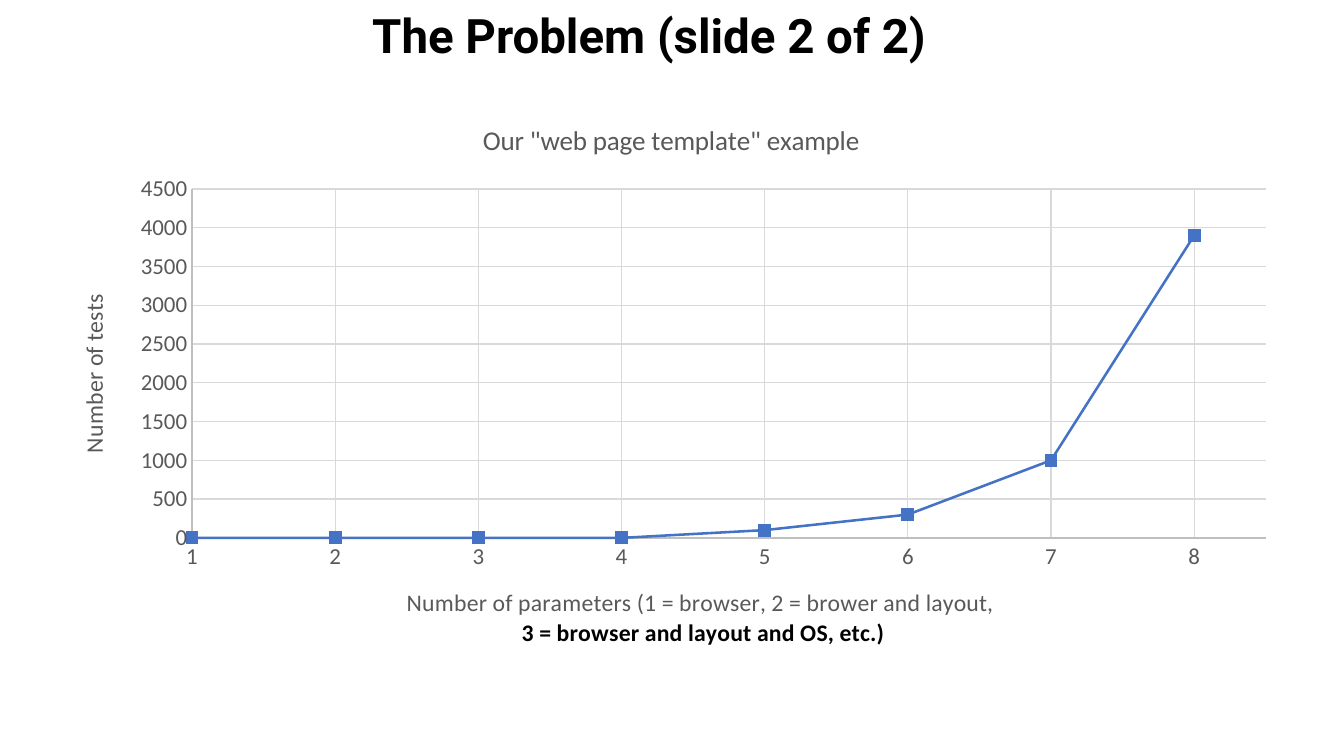
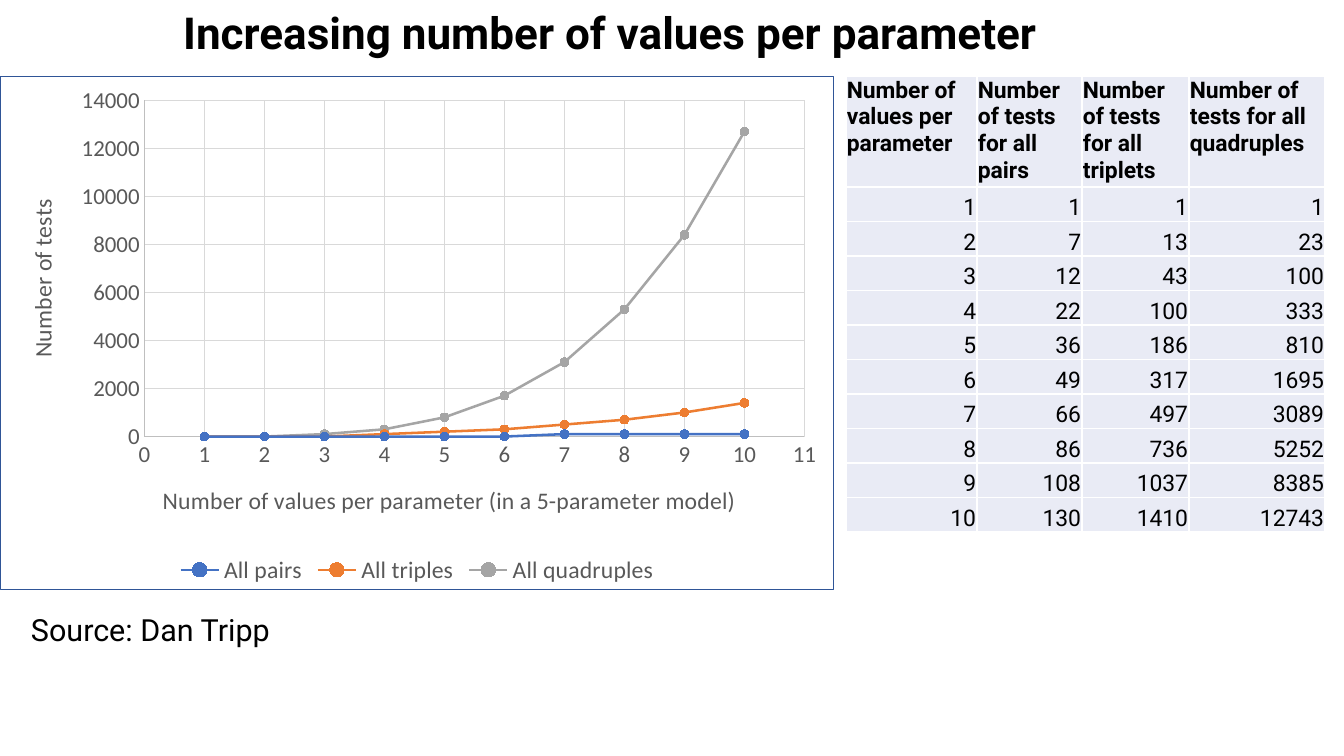
from collections import namedtuple

from pptx import Presentation
from pptx.chart.data import XyChartData
from pptx.dml.color import RGBColor
from pptx.enum.chart import (
    XL_CHART_TYPE, XL_LEGEND_POSITION, XL_MARKER_STYLE, XL_TICK_MARK)
from pptx.enum.text import MSO_ANCHOR, MSO_AUTO_SIZE, PP_ALIGN
from pptx.oxml import parse_xml
from pptx.oxml.ns import nsdecls, qn
from pptx.util import Pt

SCATTER = XL_CHART_TYPE.XY_SCATTER_LINES
LEGEND_BOTTOM = XL_LEGEND_POSITION.BOTTOM
SQUARE, CIRCLE = XL_MARKER_STYLE.SQUARE, XL_MARKER_STYLE.CIRCLE
NO_TICK = XL_TICK_MARK.NONE
TOP, BOTTOM = MSO_ANCHOR.TOP, MSO_ANCHOR.BOTTOM
NO_FIT = MSO_AUTO_SIZE.NONE
LEFT, CENTER, RIGHT = PP_ALIGN.LEFT, PP_ALIGN.CENTER, PP_ALIGN.RIGHT

EMU_PER_PX = 914400 / 122
SLIDE_WIDTH, SLIDE_HEIGHT = 1344, 756
TITLE_ONLY = 5
BLACK, GREY, GRID, AXIS = "000000", "595959", "D9D9D9", "BFBFBF"
BLUE, ORANGE, SILVER = "4472C4", "ED7D31", "A5A5A5"
CHART_BORDER, CELL_FILL, CELL_BORDER = "2F5597", "E9EBF5", "FFFFFF"

ROBOTO = {"name": "Roboto", "color": BLACK, "bold": False}
TITLE_FONT = {**ROBOTO, "bold": True}
CELL_FONT = {**ROBOTO, "size": 13.5}
CHART_FONT = {"name": "Calibri", "color": GREY, "bold": False}
TICK_FONT = {**CHART_FONT, "size": 13.5}
LABEL_FONT = {**CHART_FONT, "size": 14}
CAPTION_FONT = {**CHART_FONT, "size": 16}
STRONG_FONT = {**LABEL_FONT, "color": BLACK, "bold": True}

Box = namedtuple("Box", "left top width height")
AxisFormat = namedtuple("AxisFormat", "minimum maximum step lines left top")

PARAMETER_COUNTS = range(1, 9)
PARAMETER_TESTS = [0, 0, 0, 0, 100, 300, 1000, 3900]
VALUE_HEADINGS = [
    "Number of values per parameter", "Number of tests for all pairs",
    "Number of tests for all triplets", "Number of tests for all quadruples"]
VALUE_ROWS = [
    (1, 1, 1, 1), (2, 7, 13, 23), (3, 12, 43, 100), (4, 22, 100, 333),
    (5, 36, 186, 810), (6, 49, 317, 1695), (7, 66, 497, 3089),
    (8, 86, 736, 5252), (9, 108, 1037, 8385), (10, 130, 1410, 12743)]
COLUMN_WIDTHS = [131, 105, 107, 136]
HEADING_HEIGHT = 111


def emu(pixels):
    """Turn pixels into EMU."""
    return round(pixels * EMU_PER_PX)


def rgb(value):
    """Turn a hex string into a colour."""
    return RGBColor.from_string(value)


def set_attributes(target, values):
    """Set each named attribute of the target."""
    for name, value in values.items():
        setattr(target, name, value)


def style_font(font, style):
    """Apply a font style."""
    set_attributes(font, {"name": style["name"], "size": Pt(style["size"]),
                          "bold": style["bold"]})
    font.color.rgb = rgb(style["color"])


def style_line(line, color, width):
    """Give a line its colour and width in points."""
    line.color.rgb = rgb(color)
    line.width = Pt(width)


def place(shape, box):
    """Move a shape to its box."""
    set_attributes(shape, {name: emu(value)
                           for name, value in box._asdict().items()})


def write_lines(frame, lines, alignment):
    """Write one paragraph for each pair of text and font style."""
    for index, (text, style) in enumerate(lines):
        paragraph = frame.paragraphs[0] if index == 0 else frame.add_paragraph()
        paragraph.alignment = alignment
        run = paragraph.add_run()
        run.text = text
        style_font(run.font, style)


def add_titled_slide(presentation, title, box, size):
    """Add a slide with a bold title."""
    slide = presentation.slides.add_slide(
        presentation.slide_layouts[TITLE_ONLY])
    place(slide.shapes.title, box)
    frame = slide.shapes.title.text_frame
    set_attributes(frame, {"auto_size": NO_FIT, "word_wrap": False,
                           "vertical_anchor": TOP})
    write_lines(frame, [(title, {**TITLE_FONT, "size": size})], LEFT)
    return slide


def set_layout(element, chart_box, left, top, size=None):
    """Fix the place of a chart part, given from the chart's corner."""
    values = {"x": left / chart_box.width, "y": top / chart_box.height}
    target = ""
    if size:
        target = '<c:layoutTarget val="inner"/>'
        values.update(w=size[0] / chart_box.width, h=size[1] / chart_box.height)
    modes = '<c:xMode val="edge"/><c:yMode val="edge"/>'
    lengths = "".join(f'<c:{name} val="{value:.4f}"/>'
                      for name, value in values.items())
    layout = parse_xml(
        f'<c:layout {nsdecls("c")}><c:manualLayout>{target}{modes}{lengths}'
        '</c:manualLayout></c:layout>')
    for existing in element.findall(qn("c:layout")):
        element.remove(existing)
    element.insert(0 if element.find(qn("c:tx")) is None else 1, layout)


def add_chart_label(title, chart_box, lines, left, top):
    """Write a chart or axis title at its place."""
    write_lines(title.text_frame, lines, CENTER)
    set_layout(title.element, chart_box, left, top)


def style_axis(axis, chart_box, values):
    """Format an axis with its scale, grid and title."""
    set_attributes(axis, {
        "minimum_scale": values.minimum, "maximum_scale": values.maximum,
        "major_unit": values.step, "has_major_gridlines": True,
        "major_tick_mark": NO_TICK, "minor_tick_mark": NO_TICK})
    style_line(axis.format.line, AXIS, 0.75)
    style_line(axis.major_gridlines.format.line, GRID, 0.75)
    style_font(axis.tick_labels.font, TICK_FONT)
    add_chart_label(axis.axis_title, chart_box, values.lines,
                    values.left, values.top)


def style_series(series, color, marker, size):
    """Colour a series and its markers."""
    style_line(series.format.line, color, 1.5)
    set_attributes(series.marker, {"style": marker, "size": size})
    series.marker.format.fill.solid()
    series.marker.format.fill.fore_color.rgb = rgb(color)
    style_line(series.marker.format.line, color, 0.75)


def add_scatter(slide, box, plot, series_data, marker, axes):
    """Add a scatter chart whose plot box is relative to the chart box."""
    data = XyChartData()
    for name, points, color in series_data:
        series = data.add_series(name)
        for x_value, y_value in points:
            series.add_data_point(x_value, y_value)
    chart = slide.shapes.add_chart(SCATTER, *map(emu, box), data).chart
    style_font(chart.font, {**CHART_FONT, "size": 10, "color": BLACK})
    set_attributes(chart, {"has_title": False, "has_legend": False})
    chart.plots[0].vary_by_categories = False
    for series, (name, points, color) in zip(chart.plots[0].series, series_data):
        style_series(series, color, *marker)
    for axis, values in zip((chart.category_axis, chart.value_axis), axes):
        style_axis(axis, box, values)
    body = chart.value_axis.axis_title.element.find(".//" + qn("a:bodyPr"))
    body.set("rot", "-5400000")
    body.set("vert", "horz")
    set_layout(chart.element.find(".//" + qn("c:plotArea")), box,
               plot.left, plot.top, (plot.width, plot.height))
    return chart


def add_chart_border(chart):
    """Draw a thin outline round the chart."""
    chart.element.find(qn("c:chart")).addnext(parse_xml(
        f'<c:spPr {nsdecls("c", "a")}><a:noFill/><a:ln w="{Pt(0.75)}">'
        f'<a:solidFill><a:srgbClr val="{CHART_BORDER}"/></a:solidFill>'
        '</a:ln></c:spPr>'))


def add_cell_borders(cell):
    """Draw white lines on the four sides of a cell."""
    properties = cell._tc.get_or_add_tcPr()
    for index, side in enumerate(("lnL", "lnR", "lnT", "lnB")):
        properties.insert(index, parse_xml(
            f'<a:{side} {nsdecls("a")} w="{Pt(1)}"><a:solidFill>'
            f'<a:srgbClr val="{CELL_BORDER}"/></a:solidFill></a:{side}>'))


def add_value_table(slide, box):
    """Add the table of test counts."""
    rows = [VALUE_HEADINGS, *VALUE_ROWS]
    table = slide.shapes.add_table(
        len(rows), len(COLUMN_WIDTHS), *map(emu, box)).table
    set_attributes(table, {"first_row": False, "horz_banding": False})
    for column, width in zip(table.columns, COLUMN_WIDTHS):
        column.width = emu(width)
    row_height = (box.height - HEADING_HEIGHT) / len(VALUE_ROWS)
    for row_index, values in enumerate(rows):
        heading = row_index == 0
        table.rows[row_index].height = emu(
            HEADING_HEIGHT if heading else row_height)
        for cell, value in zip(table.rows[row_index].cells, values):
            set_attributes(cell, {
                "margin_left": emu(1), "margin_right": emu(1),
                "margin_top": emu(1), "margin_bottom": 0,
                "vertical_anchor": TOP if heading else BOTTOM})
            cell.fill.solid()
            cell.fill.fore_color.rgb = rgb(CELL_FILL)
            add_cell_borders(cell)
            write_lines(cell.text_frame,
                        [(str(value), {**CELL_FONT, "bold": heading})],
                        LEFT if heading else RIGHT)


def add_source(slide, box):
    """Add the source line."""
    frame = slide.shapes.add_textbox(*map(emu, box)).text_frame
    frame.word_wrap = True
    write_lines(frame, [("Source: Dan Tripp", {**ROBOTO, "size": 18})], LEFT)


def build_problem_slide(presentation):
    """Build the slide on the growing number of parameters."""
    slide = add_titled_slide(presentation, "The Problem (slide 2 of 2)",
                             Box(360, 0, 608, 70), 28)
    box = Box(51, 101, 1241, 573)
    x_lines = [
        ("Number of parameters (1 = browser, 2 = brower and layout, ", LABEL_FONT),
        ("3 = browser and layout and OS, etc.)", STRONG_FONT)]
    axes = [AxisFormat(1, 8.5, 1, x_lines, 352, 482),
            AxisFormat(0, 4500, 500, [("Number of tests", LABEL_FONT)], 22, 189)]
    points = list(zip(PARAMETER_COUNTS, PARAMETER_TESTS))
    chart = add_scatter(slide, box, Box(141, 88, 1074, 349),
                        [("Series 1", points, BLUE)], (SQUARE, 7), axes)
    chart.has_title = True
    add_chart_label(chart.chart_title, box,
                    [('Our "web page template" example', CAPTION_FONT)], 427, 16)


def build_values_slide(presentation):
    """Build the slide on the growing number of values."""
    slide = add_titled_slide(
        presentation, "Increasing number of values per parameter",
        Box(171, -1, 938, 66), 26)
    add_source(slide, Box(19, 605, 290, 48))
    add_value_table(slide, Box(846, 76, sum(COLUMN_WIDTHS), 456))
    x_title = "Number of values per parameter (in a 5-parameter model)"
    axes = [AxisFormat(0, 11, 1, [(x_title, LABEL_FONT)], 158, 404),
            AxisFormat(0, 14000, 2000, [("Number of tests", LABEL_FONT)], 21, 119)]
    counts, *tests = zip(*VALUE_ROWS)
    names = ["All pairs", "All triples", "All quadruples"]
    series_data = [
        (name, [(count, round(value, -2)) for count, value in zip(counts, values)],
         color)
        for name, values, color in zip(names, tests, (BLUE, ORANGE, SILVER))]
    chart = add_scatter(slide, Box(0, 76, 834, 514), Box(144, 24, 661, 337),
                        series_data, (CIRCLE, 5), axes)
    chart.has_legend = True
    set_attributes(chart.legend, {"position": LEGEND_BOTTOM,
                                  "include_in_layout": False})
    style_font(chart.legend.font, LABEL_FONT)
    add_chart_border(chart)


def main():
    """Build and save the presentation."""
    presentation = Presentation()
    set_attributes(presentation, {"slide_width": emu(SLIDE_WIDTH),
                                  "slide_height": emu(SLIDE_HEIGHT)})
    build_problem_slide(presentation)
    build_values_slide(presentation)
    presentation.save("out.pptx")


if __name__ == "__main__":
    main()
